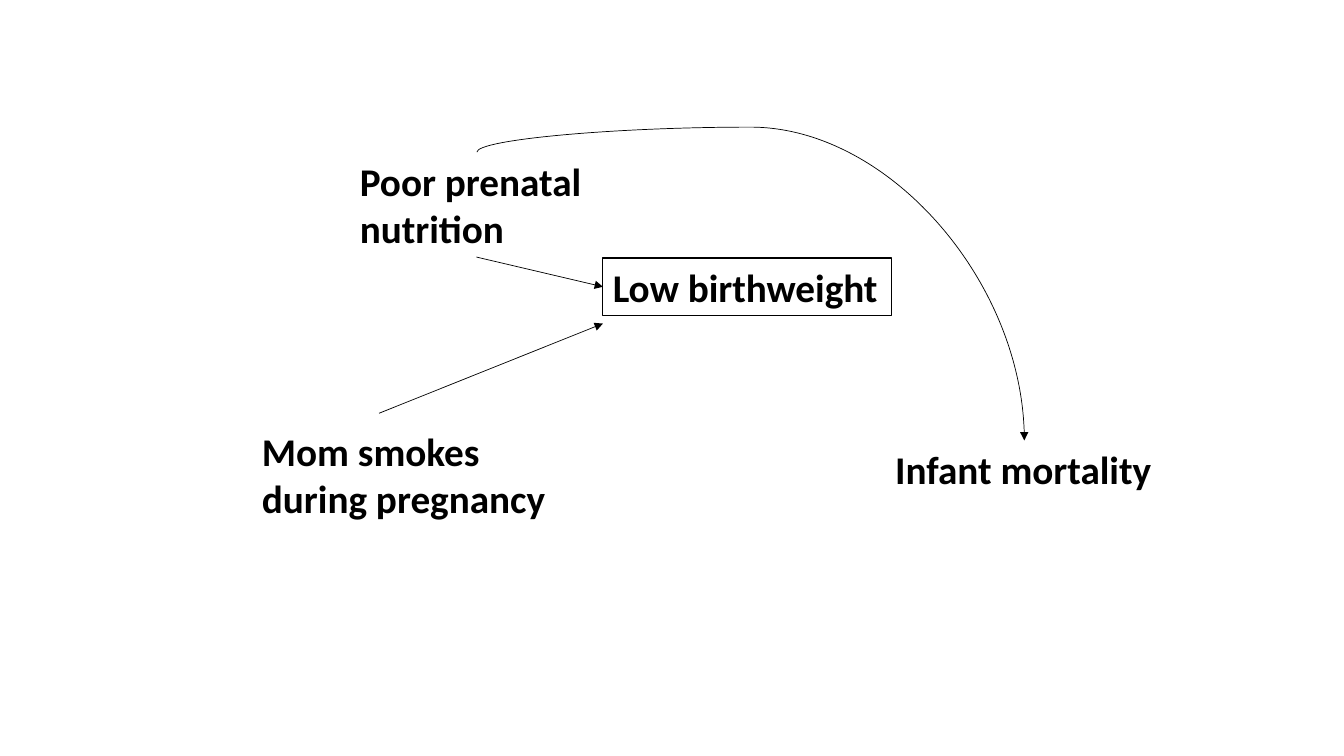
from lxml.etree import SubElement
from pptx import Presentation
from pptx.dml.color import RGBColor
from pptx.enum.shapes import MSO_CONNECTOR, MSO_SHAPE
from pptx.enum.text import MSO_ANCHOR, MSO_AUTO_SIZE, PP_ALIGN
from pptx.oxml.ns import qn
from pptx.util import Inches, Pt

BLACK = RGBColor(0, 0, 0)
TOP, LEFT, BOTTOM = 0, 1, 2


def write_label(shape, lines):
    frame = shape.text_frame
    frame.word_wrap = False
    frame.auto_size = MSO_AUTO_SIZE.SHAPE_TO_FIT_TEXT
    frame.vertical_anchor = MSO_ANCHOR.TOP
    frame.text = "\n".join(lines)
    for paragraph in frame.paragraphs:
        paragraph.alignment = PP_ALIGN.LEFT
        paragraph.font.name = "Calibri"
        paragraph.font.size = Pt(28)
        paragraph.font.bold = True
        paragraph.font.color.rgb = BLACK


def add_label(slide, left, top, width, height, *lines):
    box = slide.shapes.add_textbox(Inches(left), Inches(top), Inches(width), Inches(height))
    write_label(box, lines)
    return box


def add_framed_label(slide, left, top, width, height, *lines):
    shape = slide.shapes.add_shape(
        MSO_SHAPE.RECTANGLE, Inches(left), Inches(top), Inches(width), Inches(height))
    shape.shadow.inherit = False
    shape.fill.background()
    shape.line.color.rgb = BLACK
    shape.line.width = Pt(0.75)
    write_label(shape, lines)
    return shape


def add_arrow(slide, kind, start_x, start_y, end_x, end_y):
    arrow = slide.shapes.add_connector(
        kind, Inches(start_x), Inches(start_y), Inches(end_x), Inches(end_y))
    arrow.line.color.rgb = BLACK
    arrow.line.width = Pt(0.5)
    properties = arrow._element.spPr
    SubElement(properties.find(qn("a:ln")), qn("a:tailEnd"), type="triangle")
    SubElement(properties, qn("a:effectLst"))
    return arrow


def add_arched_arrow(slide, start_x, start_y, end_x, end_y, rise):
    """Curve that leaves upwards, arches over and comes down on its end."""
    center_x, center_y = (start_x + end_x) / 2, (start_y + end_y) / 2
    half_width, half_height = (end_y - start_y) / 2, (end_x - start_x) / 2
    # Drawn mirrored, then turned by 270 degrees about its centre
    arrow = add_arrow(slide, MSO_CONNECTOR.CURVE,
                      center_x + half_width, center_y - half_height,
                      center_x - half_width, center_y + half_height)
    properties = arrow._element.spPr
    properties.find(qn("a:xfrm")).set("rot", str(270 * 60000))
    bend = round(-rise / (end_y - start_y) * 100000)
    adjustments = properties.find(qn("a:prstGeom")).find(qn("a:avLst"))
    SubElement(adjustments, qn("a:gd"), name="adj1", fmla=f"val {bend}")
    return arrow


def main():
    presentation = Presentation()
    presentation.slide_width = Inches(13.33)
    presentation.slide_height = Inches(7.5)
    slide = presentation.slides.add_slide(presentation.slide_layouts[6])

    # Causes and outcomes
    add_label(slide, 2.5, 4.19, 3.13, 1.04, "Mom smokes", "during pregnancy")
    add_label(slide, 8.78, 4.37, 2.77, 0.57, "Infant mortality")
    birthweight = add_framed_label(slide, 5.98, 2.56, 2.86, 0.57, "Low birthweight")
    nutrition = add_label(slide, 3.47, 1.51, 2.51, 1.04, "Poor prenatal", "nutrition")

    # Causal arrows
    add_arrow(slide, MSO_CONNECTOR.STRAIGHT, 3.76, 4.1, 5.98, 3.21)
    nutrition_arrow = add_arrow(slide, MSO_CONNECTOR.STRAIGHT, 4.73, 2.56, 5.98, 2.84)
    nutrition_arrow.begin_connect(nutrition, BOTTOM)
    nutrition_arrow.end_connect(birthweight, LEFT)
    add_arched_arrow(slide, 4.73, 1.51, 10.16, 4.37, rise=0.25)

    presentation.save("out.pptx")


if __name__ == "__main__":
    main()
